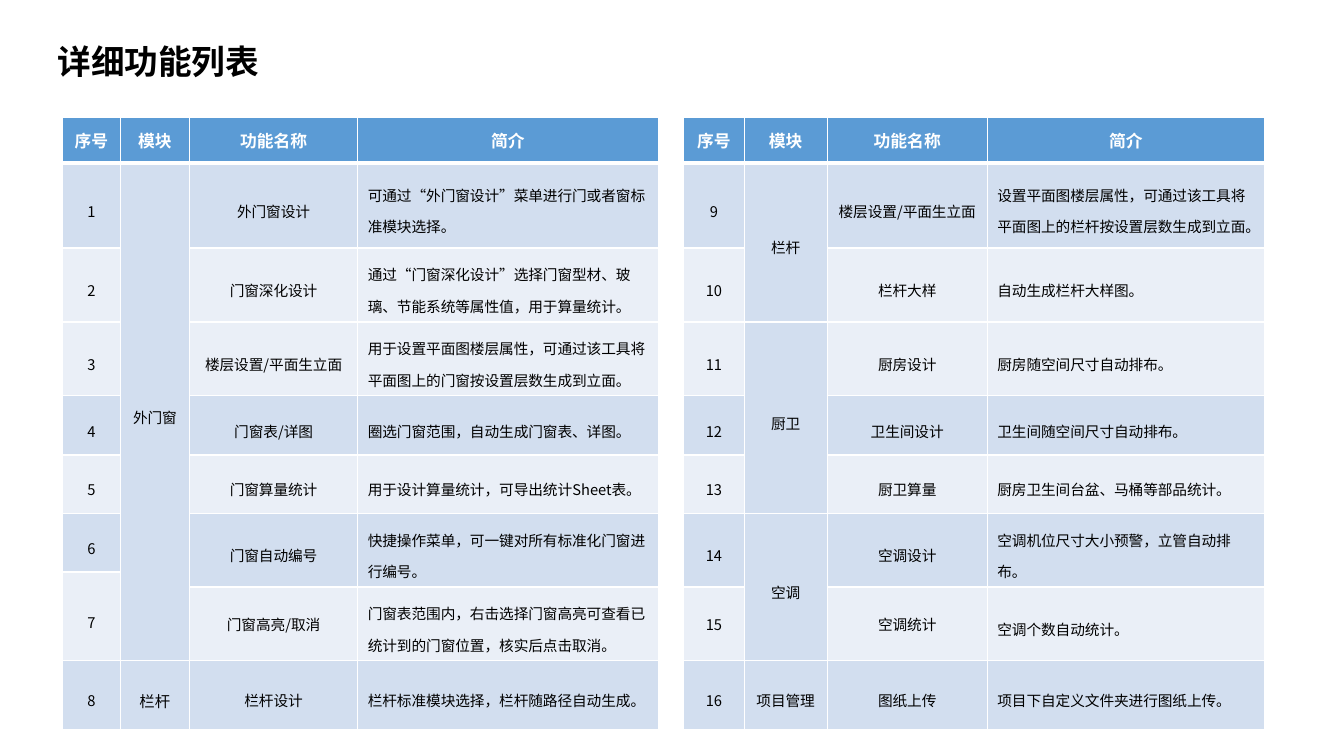
"""Build the slide that lists the detailed functions of the design tool."""
from lxml import etree
from pptx import Presentation
from pptx.dml.color import RGBColor
from pptx.enum.text import MSO_ANCHOR, PP_ALIGN
from pptx.oxml.ns import qn
from pptx.util import Pt

BLACK = RGBColor(0x00, 0x00, 0x00)
WHITE = RGBColor(0xFF, 0xFF, 0xFF)
HEADER_BLUE = RGBColor(0x5B, 0x9B, 0xD5)
DARK_BAND = RGBColor(0xD2, 0xDE, 0xEF)
LIGHT_BAND = RGBColor(0xEA, 0xEF, 0xF7)
CJK_FONT = "Noto Sans CJK SC"

COLUMN_WIDTHS = [41.4, 49.4, 120.2, 214.6, 18.2, 43.2, 59.4, 114.3, 198]
ROW_HEIGHTS = [32.6, 61, 52.8, 52.8, 42.3, 41.8, 41.8, 10.7, 52.8, 49]
SPACER_COLUMN = 4
MODULE_COLUMNS = (1, 6)
DESCRIPTION_COLUMNS = (3, 8)
DARK_ROWS = (1, 4, 6, 9)
SINGLE_SPACED_CELLS = [(8, 2), (8, 5), (8, 7)]
NO_HANGING_CELLS = [(2, 3), (6, 8)]

HEADINGS = ["序号", "模块", "功能名称", "简介"]
LEFT_ROWS = [
    HEADINGS,
    ["1", "外门窗", "外门窗设计", "可通过“外门窗设计”菜单进行门或者窗标准模块选择。"],
    ["2", "", "门窗深化设计", "通过“门窗深化设计”选择门窗型材、玻璃、节能系统等属性值，用于算量统计。"],
    ["3", "", "楼层设置/平面生立面", "用于设置平面图楼层属性，可通过该工具将平面图上的门窗按设置层数生成到立面。"],
    ["4", "", "门窗表/详图", "圈选门窗范围，自动生成门窗表、详图。"],
    ["5", "", "门窗算量统计", "用于设计算量统计，可导出统计Sheet表。"],
    ["6", "", "门窗自动编号", "快捷操作菜单，可一键对所有标准化门窗进行编号。"],
    ["7", "", "", ""],
    ["", "", "门窗高亮/取消", "门窗表范围内，右击选择门窗高亮可查看已统计到的门窗位置，核实后点击取消。"],
    ["8", "栏杆", "栏杆设计", "栏杆标准模块选择，栏杆随路径自动生成。"],
]
RIGHT_ROWS = [
    HEADINGS,
    ["9", "栏杆", "楼层设置/平面生立面", "设置平面图楼层属性，可通过该工具将平面图上的栏杆按设置层数生成到立面。"],
    ["10", "", "栏杆大样", "自动生成栏杆大样图。"],
    ["11", "厨卫", "厨房设计", "厨房随空间尺寸自动排布。"],
    ["12", "", "卫生间设计", "卫生间随空间尺寸自动排布。"],
    ["13", "", "厨卫算量", "厨房卫生间台盆、马桶等部品统计。"],
    ["14", "空调", "空调设计", "空调机位尺寸大小预警，立管自动排布。"],
    ["", "", "", ""],
    ["15", "", "空调统计", "空调个数自动统计。"],
    ["16", "项目管理", "图纸上传", "项目下自定义文件夹进行图纸上传。"],
]
MERGES = [(1, 8, 1), (1, 2, 6), (3, 5, 6), (6, 8, 6), (7, 8, 0)]
MERGES += [(6, 7, column) for column in (2, 3, 4, 5, 7, 8)]


def add_text(paragraph, text, size, color, bold, latin_font):
    run = paragraph.add_run()
    run.text = text
    run.font.size = Pt(size)
    run.font.bold = bold
    run.font.color.rgb = color
    run.font.name = latin_font
    east_asian = etree.SubElement(run._r.get_or_add_rPr(), qn("a:ea"))
    east_asian.set("typeface", CJK_FONT)


def add_border(cell, side, width):
    line = etree.SubElement(cell._tc.get_or_add_tcPr(), qn(f"a:ln{side}"))
    line.set("w", str(Pt(width)))
    fill = etree.SubElement(line, qn("a:solidFill"))
    etree.SubElement(fill, qn("a:srgbClr")).set("val", str(WHITE))


presentation = Presentation()
presentation.slide_width = Pt(960)
presentation.slide_height = Pt(540)
slide = presentation.slides.add_slide(presentation.slide_layouts[6])

title = slide.shapes.add_textbox(Pt(34), Pt(26.6), Pt(749), Pt(34.6)).text_frame
title.word_wrap = True
title.vertical_anchor = MSO_ANCHOR.MIDDLE
title.margin_top = title.margin_bottom = Pt(0)
add_text(title.paragraphs[0], "详细功能列表", 24, BLACK, True, "Arial")

table = slide.shapes.add_table(
    len(ROW_HEIGHTS), len(COLUMN_WIDTHS), Pt(44.6), Pt(83.6),
    Pt(sum(COLUMN_WIDTHS)), Pt(sum(ROW_HEIGHTS))).table
table.first_row = False
table.horz_banding = False
for column, width in zip(table.columns, COLUMN_WIDTHS):
    column.width = Pt(width)
for row, height in zip(table.rows, ROW_HEIGHTS):
    row.height = Pt(height)
for first_row, last_row, column in MERGES:
    table.cell(first_row, column).merge(table.cell(last_row, column))

for row, (left, right) in enumerate(zip(LEFT_ROWS, RIGHT_ROWS)):
    is_header = row == 0
    for column, text in enumerate(left + [""] + right):
        cell = table.cell(row, column)
        add_border(cell, "L", 1)
        add_border(cell, "R", 1)
        add_border(cell, "T", 3 if row == 1 else 1)
        add_border(cell, "B", 3 if is_header else 1)
        if column == SPACER_COLUMN:
            cell.fill.background()
            continue
        cell.fill.solid()
        if is_header:
            cell.fill.fore_color.rgb = HEADER_BLUE
        elif row in DARK_ROWS or column in MODULE_COLUMNS:
            cell.fill.fore_color.rgb = DARK_BAND
        else:
            cell.fill.fore_color.rgb = LIGHT_BAND
        if not text:
            continue
        cell.vertical_anchor = MSO_ANCHOR.MIDDLE
        paragraph = cell.text_frame.paragraphs[0]
        if is_header or column not in DESCRIPTION_COLUMNS:
            paragraph.alignment = PP_ALIGN.CENTER
        if not is_header and (row, column) not in SINGLE_SPACED_CELLS:
            paragraph.line_spacing = 1.5
        if (row, column) in NO_HANGING_CELLS:
            paragraph._p.get_or_add_pPr().set("hangingPunct", "0")
        if is_header:
            add_text(paragraph, text, 12, WHITE, True, CJK_FONT)
        else:
            size = 11 if (row, column) == (9, 1) else 10.5
            add_text(paragraph, text, size, BLACK, False, CJK_FONT)

presentation.save("out.pptx")
